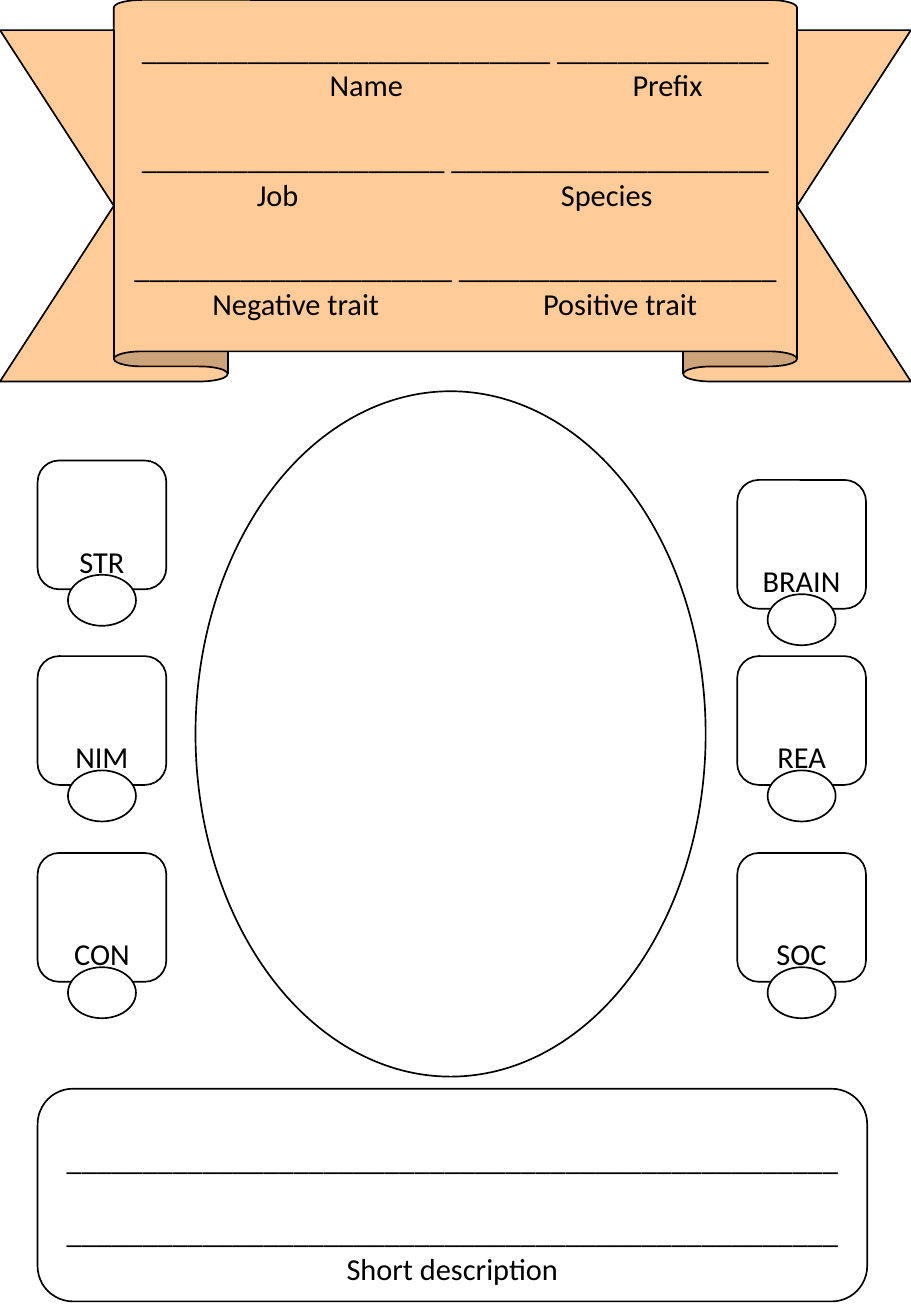
import pptx
import pptx.dml.color
import pptx.enum.shapes
import pptx.enum.text
import pptx.util
from pptx.util import Inches

SHAPE = pptx.enum.shapes.MSO_SHAPE
ALIGN = pptx.enum.text.PP_ALIGN
ANCHOR = pptx.enum.text.MSO_ANCHOR

# Content
COLOURS = {"banner": "FFCC99", "paper": "FFFFFF", "ink": "000000"}
FONT, TEXT_SIZE, LINE_GAP = "Calibri", 18, 21.6

# Blank lengths in characters, then each label with its centre in the banner
BANNER_ROWS = [
    ((27, 14), (("Name", 1.98), ("Prefix", 4.46))),
    ((20, 21), (("Job", 1.25), ("Species", 3.96))),
    ((21, 21), (("Negative trait", 1.4), ("Positive trait", 4.07))),
]
# Column left, then each stat with its top
STAT_COLUMNS = [
    (0.31, (("STR", 3.79), ("NIM", 5.4), ("CON", 7.02))),
    (6.07, (("BRAIN", 3.95), ("REA", 5.4), ("SOC", 7.02))),
]
STAT_SIZE, SCORE_WIDTH, SCORE_HEIGHT, SCORE_DROP = 1.06, 0.56, 0.42, 0.94
DESCRIPTION_LINES, DESCRIPTION_LENGTH = 2, 51
DESCRIPTION_LABEL = "Short description"


def colour(name):
    return pptx.dml.color.RGBColor.from_string(COLOURS[name])


def add_outline(shapes, kind, left, top, width, height, fill="paper"):
    shape = shapes.add_shape(kind, Inches(left), Inches(top), Inches(width), Inches(height))
    shape.shadow.inherit = False
    shape.fill.solid()
    shape.fill.fore_color.rgb = colour(fill)
    shape.line.color.rgb = colour("ink")
    shape.line.width = pptx.util.Pt(1)
    return shape


def add_text(shape, text, align=ALIGN.CENTER, space_before=0, tabs=()):
    """Write one paragraph; tabs are centred stops in inches."""
    frame = shape.text_frame
    para = frame.add_paragraph() if frame.text else frame.paragraphs[0]
    para.alignment = align
    para.space_before = pptx.util.Pt(space_before)
    if tabs:
        properties = para._p.get_or_add_pPr()
        tab_list = properties.makeelement(pptx.oxml.ns.qn("a:tabLst"), {})
        properties.append(tab_list)
        for stop in tabs:
            tab = tab_list.makeelement(
                pptx.oxml.ns.qn("a:tab"), {"pos": str(Inches(stop)), "algn": "ctr"})
            tab_list.append(tab)
    span = para.add_run()
    span.text = text
    span.font.name = FONT
    span.font.size = pptx.util.Pt(TEXT_SIZE)
    span.font.color.rgb = colour("ink")


def set_frame(shape, anchor, bottom=0.05):
    frame = shape.text_frame
    frame.word_wrap = True
    frame.vertical_anchor = anchor
    frame.margin_bottom = Inches(bottom)


def add_banner(page):
    banner = add_outline(page.shapes, SHAPE.UP_RIBBON, 0, 0, 7.5, 3.14, fill="banner")
    banner.adjustments[0] = 0.079
    banner.adjustments[1] = 0.75
    set_frame(banner, ANCHOR.MIDDLE)
    for row, (blanks, labels) in enumerate(BANNER_ROWS):
        add_text(banner, " ".join("_" * length for length in blanks),
                 space_before=LINE_GAP if row else 0)
        add_text(banner, "".join("\t" + label for label, _ in labels),
                 align=ALIGN.LEFT, tabs=[centre for _, centre in labels])


def add_stat(page, label, left, top):
    group = page.shapes.add_group_shape()
    box = add_outline(group.shapes, SHAPE.ROUNDED_RECTANGLE, left, top, STAT_SIZE, STAT_SIZE)
    set_frame(box, ANCHOR.BOTTOM, bottom=0.03)
    add_text(box, label)
    add_outline(group.shapes, SHAPE.OVAL, left + (STAT_SIZE - SCORE_WIDTH) / 2,
                top + SCORE_DROP, SCORE_WIDTH, SCORE_HEIGHT)


def add_description(page):
    box = add_outline(page.shapes, SHAPE.ROUNDED_RECTANGLE, 0.31, 8.96, 6.83, 1.75)
    set_frame(box, ANCHOR.BOTTOM, bottom=0.04)
    for line in range(DESCRIPTION_LINES):
        add_text(box, "_" * DESCRIPTION_LENGTH, space_before=LINE_GAP if line else 0)
    add_text(box, DESCRIPTION_LABEL)


def main():
    deck = pptx.Presentation()
    deck.slide_width, deck.slide_height = Inches(7.5), Inches(10.83)
    page = deck.slides.add_slide(deck.slide_layouts[6])

    # Banner and portrait
    add_banner(page)
    add_outline(page.shapes, SHAPE.OVAL, 1.61, 3.22, 4.2, 5.64)

    # Stats on both sides, description below
    for left, stats in STAT_COLUMNS:
        for label, top in stats:
            add_stat(page, label, left, top)
    add_description(page)
    deck.save("out.pptx")


if __name__ == "__main__":
    main()
